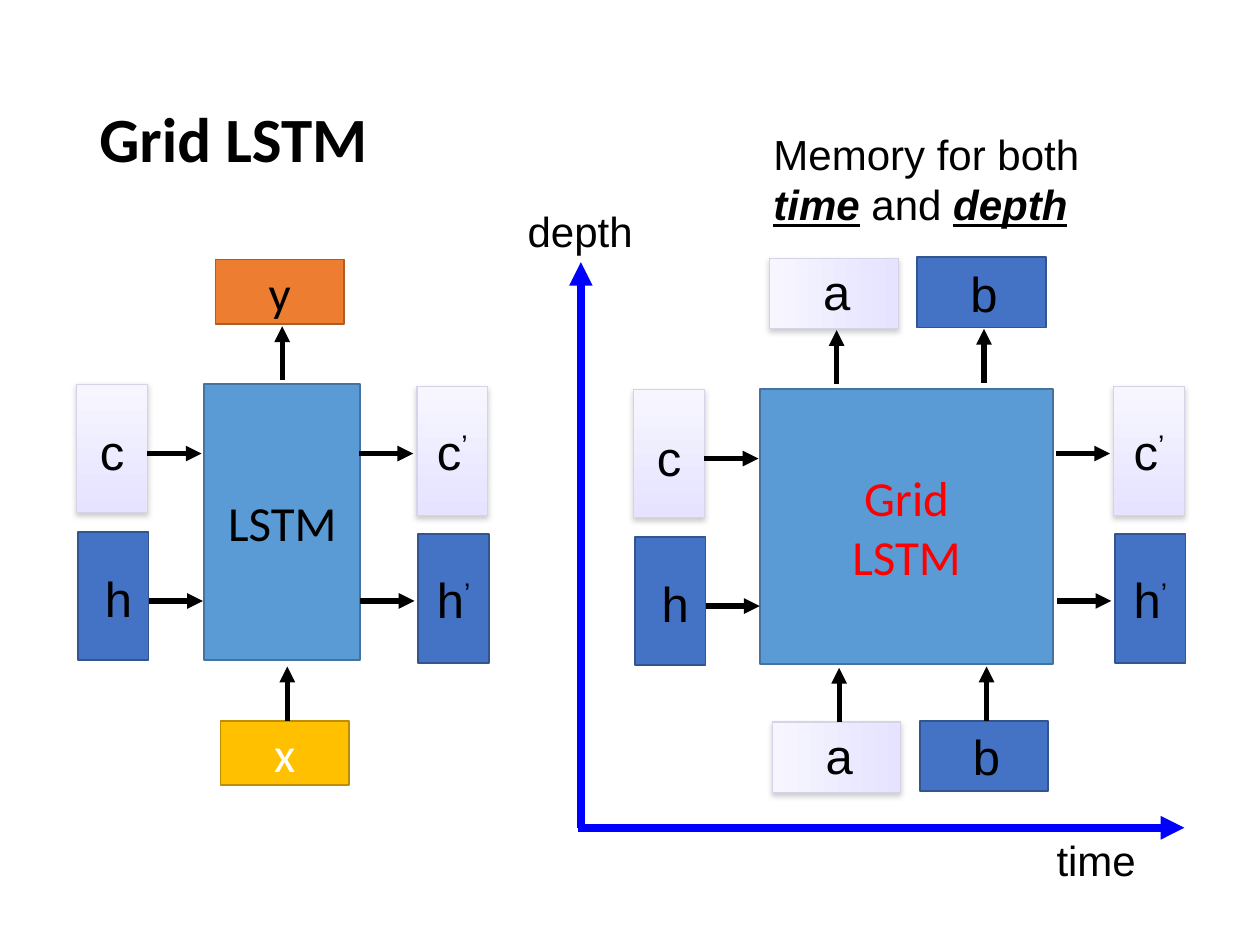
from lxml.etree import SubElement
from pptx import Presentation
from pptx.dml.color import RGBColor
from pptx.enum.shapes import MSO_CONNECTOR, MSO_SHAPE
from pptx.enum.text import MSO_ANCHOR, PP_ALIGN
from pptx.oxml import parse_xml
from pptx.oxml.ns import nsdecls, qn
from pptx.util import Inches, Pt

COLORS = {
    "black": "000000", "white": "FFFFFF", "red": "FF0000", "axis": "0000FF",
    "cell": "5B9BD5", "cell_line": "43739E",
    "output": "ED7D31", "output_line": "AF5C24",
    "input": "FFC000", "input_line": "BD8E00",
    "hidden": "4472C4", "hidden_line": "325491",
    "memory_start": "F7F6FF", "memory_end": "E5E3FF", "memory_line": "D4D3E7",
    "shadow": "808080",
}
STATE_WIDTH, STATE_HEIGHT = 0.56, 1.02
ARROW_LENGTH = 0.43


def color(name):
    """Return the named colour."""
    return RGBColor.from_string(COLORS[name])


def add_run(paragraph, text, size, font_name="Arial", font_color="black", emphasis=False):
    """Append one formatted run to a paragraph."""
    run = paragraph.add_run()
    run.text = text
    font = run.font
    font.size, font.name, font.color.rgb = Pt(size), font_name, color(font_color)
    if emphasis:
        font.bold = font.italic = font.underline = True
    return run


def add_text_box(slide, left, top, width, height, wrap=True, align=PP_ALIGN.CENTER):
    """Add an empty text box and return its text frame."""
    shape = slide.shapes.add_textbox(Inches(left), Inches(top), Inches(width), Inches(height))
    frame = shape.text_frame
    frame.word_wrap = wrap
    frame.paragraphs[0].alignment = align
    return frame


def add_label(slide, center, top, text):
    """Add a large state label centred on a horizontal position."""
    width = 0.42
    frame = add_text_box(slide, center - width / 2, top, width, 0.57, wrap=False)
    add_run(frame.paragraphs[0], text, 28)


def add_arrow(slide, start, end, line_color="black", width=3):
    """Add a straight arrow between two points."""
    points = [Inches(value) for value in (*start, *end)]
    connector = slide.shapes.add_connector(MSO_CONNECTOR.STRAIGHT, *points)
    connector.line.color.rgb = color(line_color)
    connector.line.width = Pt(width)
    SubElement(connector.line._get_or_add_ln(), qn("a:tailEnd"), type="triangle")
    SubElement(connector._element.spPr, qn("a:effectLst"))


def add_box(slide, left, top, width, height, kind, lines=(), font_color="black"):
    """Add an outlined rectangle with centred lines of text."""
    shape = slide.shapes.add_shape(
        MSO_SHAPE.RECTANGLE, Inches(left), Inches(top), Inches(width), Inches(height))
    shape.shadow.inherit = False
    shape.line.color.rgb = color(f"{kind}_line")
    shape.line.width = Pt(1)
    if kind == "memory":
        style_memory(shape)
    else:
        shape.fill.solid()
        shape.fill.fore_color.rgb = color(kind)
    frame = shape.text_frame
    frame.vertical_anchor = MSO_ANCHOR.MIDDLE
    for index, text in enumerate(lines):
        paragraph = frame.add_paragraph() if index else frame.paragraphs[0]
        paragraph.alignment = PP_ALIGN.CENTER
        add_run(paragraph, text, 28, "Calibri", font_color)
    return shape


def style_memory(shape):
    """Give a memory state its pale gradient and soft shadow."""
    shape.line.width = Pt(0.75)
    shape.fill.gradient()
    shape.fill.gradient_angle = 270
    for stop, name in zip(shape.fill.gradient_stops, ("memory_start", "memory_end")):
        stop.color.rgb = color(name)
    effects = shape._element.spPr.find(qn("a:effectLst"))
    effects.append(parse_xml(
        f'<a:outerShdw {nsdecls("a")} blurRad="{Pt(3.1)}" dist="{Pt(1.6)}" '
        'dir="5400000" rotWithShape="0">'
        f'<a:srgbClr val="{COLORS["shadow"]}"><a:alpha val="38000"/></a:srgbClr>'
        '</a:outerShdw>'))


def add_incoming_states(slide, left, top):
    """Add the c and h states that enter a cell from the left."""
    rows = (("memory", "c", 0, 0, 0.28, 0.25), ("hidden", "h", 0.01, 1.17, 0.33, 1.41))
    for kind, text, shift, drop, center, label_top in rows:
        add_box(slide, left + shift, top + drop, STATE_WIDTH, STATE_HEIGHT, kind)
        start, level = left + shift + STATE_WIDTH, top + drop + 0.55
        add_arrow(slide, (start, level), (start + ARROW_LENGTH, level))
        add_label(slide, left + center, top + label_top, text)


def add_outgoing_states(slide, left, top):
    """Add the c’ and h’ states that leave a cell to the right."""
    for kind, text, shift, drop in (("memory", "c", 0, 0), ("hidden", "h", 0.01, 1.17)):
        shape = add_box(slide, left + shift, top + drop, STATE_WIDTH, STATE_HEIGHT, kind)
        paragraph = shape.text_frame.paragraphs[0]
        paragraph.alignment = PP_ALIGN.CENTER
        add_run(paragraph, text, 28)
        prime = add_run(paragraph, "’", 28)
        prime._r.get_or_add_rPr().set("baseline", "30000")
        end, level = left + shift - 0.03, top + drop + 0.53
        add_arrow(slide, (end - ARROW_LENGTH, level), (end, level))


def add_depth_states(slide, left, top, labels, arrow_start):
    """Add the a and b states along the depth axis with their arrows."""
    inset = (STATE_HEIGHT - STATE_WIDTH) / 2
    for index, (kind, text) in enumerate(zip(("memory", "hidden"), labels)):
        state_left, state_top = left + 1.17 * index, top - 0.01 * index
        shape = add_box(slide, state_left + inset, state_top - inset,
                        STATE_WIDTH, STATE_HEIGHT, kind)
        shape.rotation = 270
        center, level = state_left + 0.53, state_top + arrow_start
        add_arrow(slide, (center, level), (center, level - ARROW_LENGTH))
        add_label(slide, center, top - 0.02 + 0.01 * index, text)


def add_lstm(slide, left, top):
    """Add the plain LSTM diagram."""
    add_box(slide, left + 1.01, top + 0.99, 1.24, 2.19, "cell", ["LSTM"])
    add_box(slide, left + 1.1, top, 1.02, 0.51, "output", ["y"])
    add_box(slide, left + 1.14, top + 3.66, 1.02, 0.51, "input", ["x"], "white")
    for center, start in ((1.63, 0.96), (1.67, 3.66)):
        add_arrow(slide, (left + center, top + start),
                  (left + center, top + start - ARROW_LENGTH))
    add_incoming_states(slide, left, top + 0.99)
    add_outgoing_states(slide, left + 2.7, top + 1.01)


def add_grid_lstm(slide, left, top):
    """Add the Grid LSTM diagram."""
    add_box(slide, left + 1, top + 1.04, 2.33, 2.18, "cell", ["Grid", "LSTM"], "red")
    add_incoming_states(slide, left, top + 1.04)
    add_outgoing_states(slide, left + 3.81, top + 1.02)
    add_depth_states(slide, left + 1.08, top, ("a’", "b’"), 1)
    add_depth_states(slide, left + 1.1, top + 3.68, ("a", "b"), 0)


def add_axes(slide, left, bottom, width, height):
    """Add the time and depth axes with their names."""
    add_arrow(slide, (left - 0.02, bottom), (left + width, bottom), "axis", 4.5)
    add_arrow(slide, (left, bottom), (left, bottom - height), "axis", 4.5)
    time = add_text_box(slide, left + 3.17, bottom, 1.84, 0.51)
    add_run(time.paragraphs[0], "time", 24)
    depth = add_text_box(slide, left - 0.58, bottom - height - 0.5, 1.15, 0.51)
    add_run(depth.paragraphs[0], "depth", 24)


def add_title(slide, left, top, width, height):
    """Add the slide title."""
    frame = add_text_box(slide, left, top, width, height, align=PP_ALIGN.LEFT)
    frame.vertical_anchor = MSO_ANCHOR.MIDDLE
    frame.paragraphs[0].line_spacing = 0.9
    add_run(frame.paragraphs[0], "Grid LSTM", 36, "Calibri").font.bold = True


def add_remark(slide, left, top, width, height):
    """Add the remark about memory."""
    frame = add_text_box(slide, left, top, width, height, align=PP_ALIGN.LEFT)
    parts = (("Memory for both ", False), ("time", True), (" and ", False), ("depth", True))
    for text, emphasis in parts:
        add_run(frame.paragraphs[0], text, 24, emphasis=emphasis)


def main():
    """Build and save the slide."""
    presentation = Presentation()
    presentation.slide_width, presentation.slide_height = Inches(10), Inches(7.5)
    slide = presentation.slides.add_slide(presentation.slide_layouts[6])
    add_title(slide, 0.69, 0.4, 8.62, 1.45)
    add_lstm(slide, 0.61, 2.06)
    add_grid_lstm(slide, 5.03, 2.05)
    add_remark(slide, 6.04, 0.97, 2.94, 0.91)
    add_axes(slide, 4.61, 6.57, 4.79, 4.49)
    presentation.save("out.pptx")


if __name__ == "__main__":
    main()
